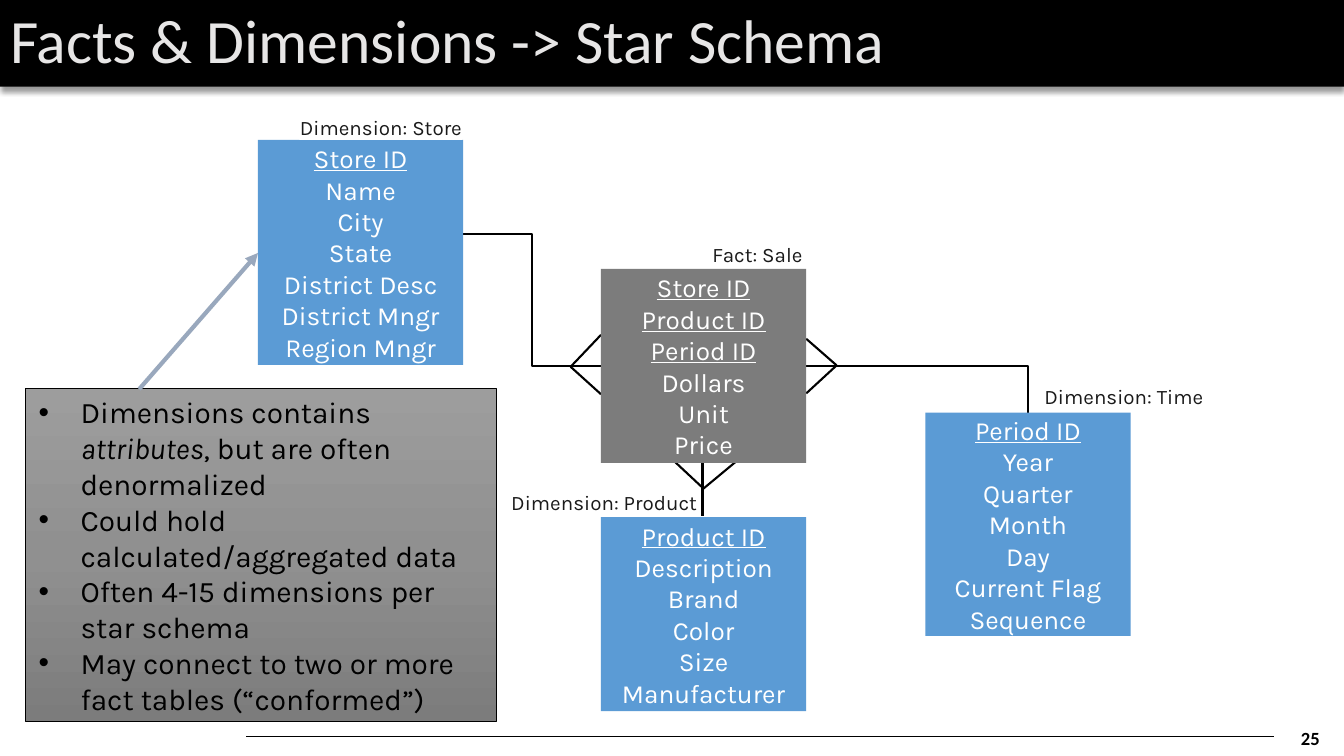
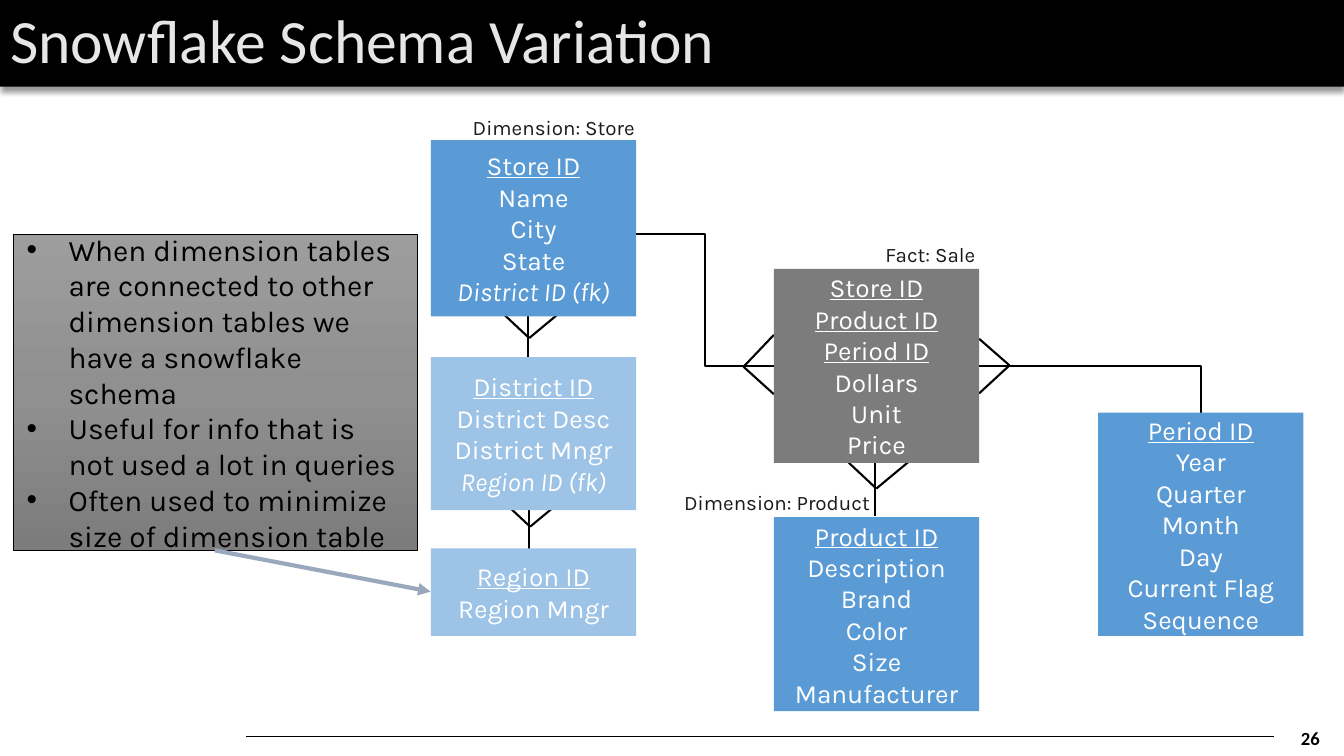
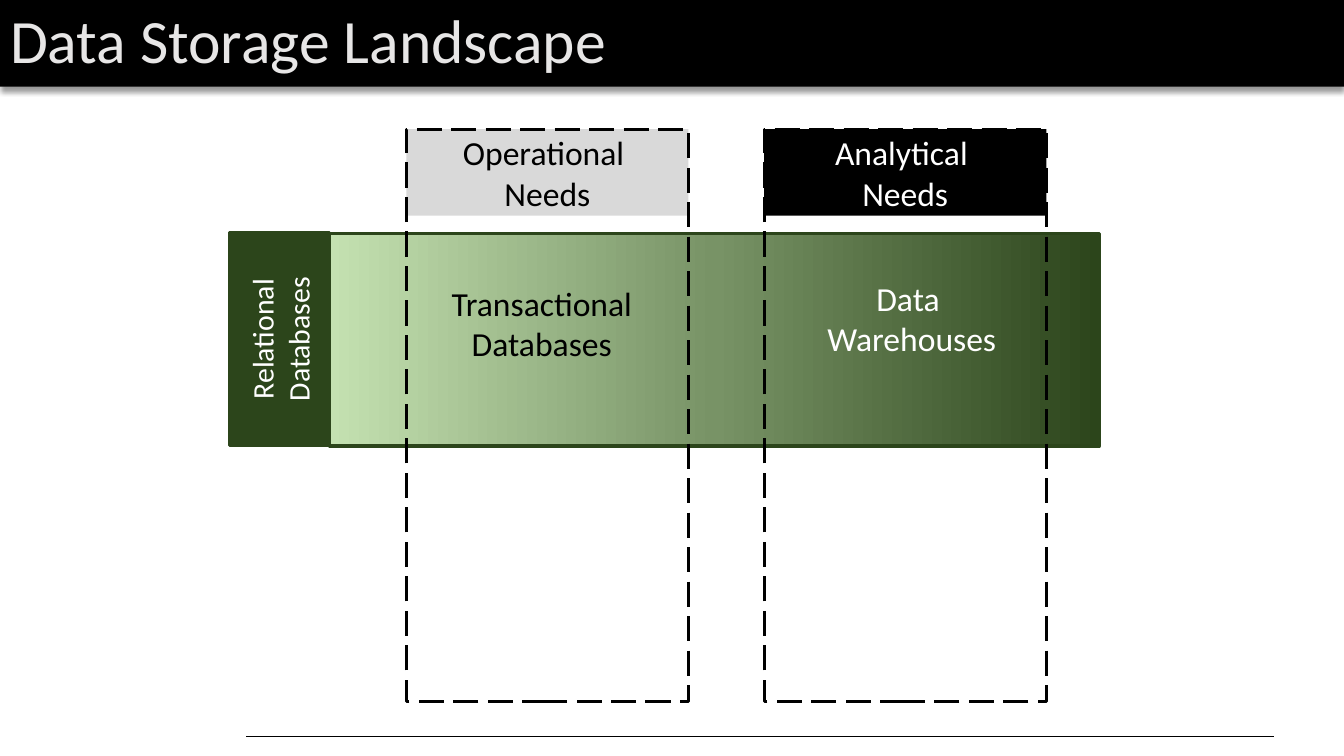
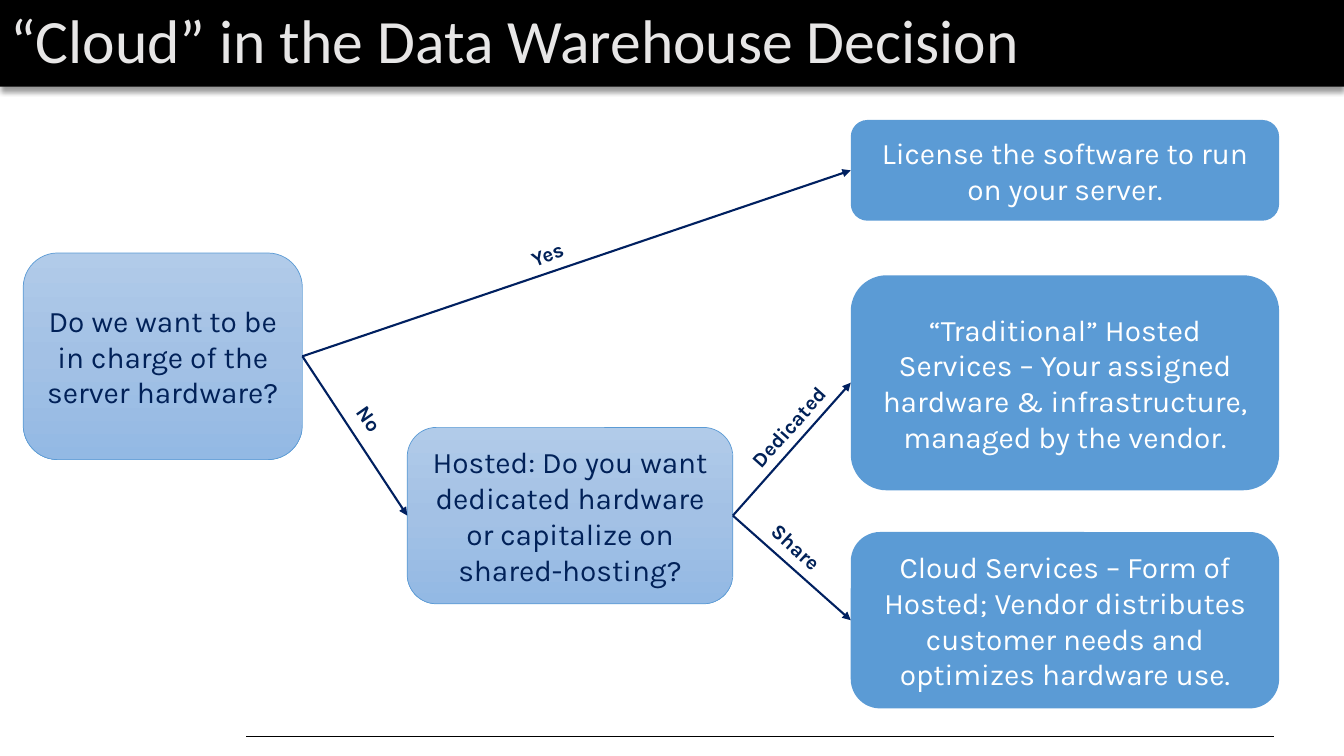
"""Build four slides on star schemas, data storage and hosting decisions."""
from copy import deepcopy
from dataclasses import dataclass
from typing import NamedTuple, Optional

from lxml.etree import SubElement
from pptx import Presentation
from pptx.dml.color import RGBColor as Rgb
from pptx.enum.dml import MSO_LINE_DASH_STYLE as Dash
from pptx.enum.shapes import MSO_CONNECTOR as Connector, MSO_SHAPE as Preset
from pptx.enum.text import MSO_ANCHOR as Anchor, MSO_AUTO_SIZE as AutoSize, PP_ALIGN as Align
from pptx.oxml.ns import qn
from pptx.util import Pt


@dataclass(frozen=True)
class Theme:
    """Colours, fonts and type sizes of the presentation."""

    black: str = "000000"
    white: str = "FFFFFF"
    title_text: str = "E7E6E6"
    label_text: str = "1A1A1A"
    fact: str = "7C7C7C"
    dimension: str = "5B9BD5"
    outrigger: str = "9DC3E6"
    pointer: str = "99A8BD"
    navy: str = "012158"
    arrow: str = "002060"
    header: str = "D9D9D9"
    forest: str = "2C451B"
    gray_gradient: tuple = ("9D9D9D", "909090", "7C7C7C")
    blue_gradient: tuple = ("B1CBE9", "A3C1E5", "93B9E4")
    green_gradient: tuple = ("C4E1B1", "789366", "2C451B")
    heading_font: str = "Calibri"
    body_font: str = "Karla"
    title_size: float = 44
    header_size: float = 24
    body_size: float = 21.3
    row_size: float = 18.7
    label_size: float = 14.7
    number_size: float = 13.3


THEME = Theme()


class Box(NamedTuple):
    """Place of a shape in points."""

    left: float
    top: float
    width: float
    height: float


class Point(NamedTuple):
    """Place of a line end in points."""

    x: float
    y: float


@dataclass(frozen=True)
class Style:
    """Look of a piece of text."""

    size: float
    color: str
    font: str = THEME.body_font
    bold: bool = False


@dataclass(frozen=True)
class Entity:
    """Database table with its key rows first."""

    box: Box
    fill: str
    keys: int
    rows: tuple


@dataclass(frozen=True)
class Label:
    """Small caption, possibly turned."""

    text: str
    box: Box
    rotation: float = 0


ROW = Style(THEME.row_size, THEME.white)
BODY = Style(THEME.body_size, THEME.black)
CAPTION = Style(THEME.label_size, THEME.label_text)
ANSWER = Style(THEME.label_size, THEME.navy, bold=True)
WIDE_INSETS = (9.6, 4.8)
ENTITY_WIDTH = 146.6
SHIFT = 123.5

FACT = Entity(Box(429.3, 192, ENTITY_WIDTH, 138.7), THEME.fact, 3,
              ("Store ID", "Product ID", "Period ID", "Dollars", "Unit", "Price"))
PRODUCT = Entity(Box(429.3, 369.3, ENTITY_WIDTH, 138.7), THEME.dimension, 1,
                 ("Product ID", "Description", "Brand", "Color", "Size", "Manufacturer"))
TIME = Entity(Box(661, 294.7, ENTITY_WIDTH, 159.6), THEME.dimension, 1,
              ("Period ID", "Year", "Quarter", "Month", "Day", "Current Flag", "Sequence"))
STORE = Entity(Box(184.3, 100, ENTITY_WIDTH, 160.6), THEME.dimension, 1,
               ("Store ID", "Name", "City", "State", "District Desc", "District Mngr",
                "Region Mngr"))
SHORT_STORE = Entity(Box(184.3, 100, ENTITY_WIDTH, 126), THEME.dimension, 1,
                     ("Store ID", "Name", "City", "State", "District ID (fk)"))
DISTRICT = Entity(Box(184.3, 255, ENTITY_WIDTH, 109.4), THEME.outrigger, 1,
                  ("District ID", "District Desc", "District Mngr", "Region ID (fk)"))
REGION = Entity(Box(184.3, 391.7, ENTITY_WIDTH, 62.6), THEME.outrigger, 1,
                ("Region ID", "Region Mngr"))
SCHEMA_LABELS = (
    Label("Dimension: Store", Box(213.8, 82, 116.6, 18)),
    Label("Dimension: Product", Box(364.3, 350, 134.6, 18)),
    Label("Fact: Sale", Box(504, 172.8, 74.2, 18)),
)
TIME_LABEL = Label("Dimension: Time", Box(744.5, 274.3, 116.6, 18))


def style_font(font, style: Style) -> None:
    """Apply a text style to a font."""
    font.name, font.size, font.bold = style.font, Pt(style.size), style.bold
    font.color.rgb = Rgb.from_string(style.color)


def place(shape, box: Box) -> None:
    """Move and size a shape."""
    shape.left, shape.top, shape.width, shape.height = (Pt(length) for length in box)


def set_insets(text_frame, across: float, down: float) -> None:
    """Set the text margins of a frame."""
    text_frame.margin_left = text_frame.margin_right = Pt(across)
    text_frame.margin_top = text_frame.margin_bottom = Pt(down)


def fill_gradient(shape, colors: tuple, angle: int) -> None:
    """Fill a shape with three evenly spaced colours, turned clockwise."""
    shape.fill.gradient()
    shape.fill.gradient_angle = 360 - angle
    stop_list = shape._element.spPr.find(qn("a:gradFill")).find(qn("a:gsLst"))
    stop_list.insert(1, deepcopy(stop_list[0]))
    for index, stop in enumerate(shape.fill.gradient_stops):
        stop.position = index / 2
        stop.color.rgb = Rgb.from_string(colors[index])


def set_line(shape, color: str, width: float) -> None:
    """Give a shape or connector a solid line."""
    shape.line.color.rgb = Rgb.from_string(color)
    shape.line.width = Pt(width)


def write(shape, text: str, style: Style) -> None:
    """Write centred text in the middle of a shape."""
    frame = shape.text_frame
    frame.word_wrap, frame.vertical_anchor = True, Anchor.MIDDLE
    frame.text = text
    for paragraph in frame.paragraphs:
        paragraph.alignment = Align.CENTER
        for run in paragraph.runs:
            style_font(run.font, style)


def add_box(slide, box: Box, fill: Optional[str] = None, preset=Preset.RECTANGLE):
    """Add a plain shape without line or shadow."""
    shape = slide.shapes.add_shape(preset, *(Pt(length) for length in box))
    shape.shadow.inherit = False
    shape.line.fill.background()
    if fill:
        shape.fill.solid()
        shape.fill.fore_color.rgb = Rgb.from_string(fill)
    else:
        shape.fill.background()
    return shape


def add_text(slide, box: Box, text: str, style: Style):
    """Add a centred text box."""
    shape = slide.shapes.add_textbox(*(Pt(length) for length in box))
    write(shape, text, style)
    return shape


def add_line(slide, start: Point, end: Point, color: str = THEME.black, width: float = 1.5,
             kind=Connector.STRAIGHT, arrow: bool = False):
    """Add a connector, with an arrowhead if wanted."""
    line = slide.shapes.add_connector(kind, *(Pt(length) for length in (*start, *end)))
    set_line(line, color, width)
    if arrow:
        SubElement(line.line._get_or_add_ln(), qn("a:tailEnd"), type="triangle")
    SubElement(line._element.spPr, qn("a:effectLst"))
    return line


def add_label(slide, label: Label, style: Style, shift: float = 0) -> None:
    """Add a caption on white."""
    box = label.box._replace(left=label.box.left + shift)
    shape = add_box(slide, box, THEME.white)
    write(shape, label.text, style)
    shape.text_frame.word_wrap = False
    set_insets(shape.text_frame, 0, 0)
    shape.rotation = label.rotation


def add_slide(presentation, title: str, layout: int = 5, number: str = ""):
    """Add a slide with title band, footer line and page number."""
    slide = presentation.slides.add_slide(presentation.slide_layouts[layout])
    band = slide.shapes.title
    place(band, Box(0, 0, 960, 61.9))
    band.fill.solid()
    band.fill.fore_color.rgb = Rgb.from_string(THEME.black)
    effects = SubElement(band._element.spPr, qn("a:effectLst"))
    shadow = SubElement(effects, qn("a:outerShdw"), blurRad=str(Pt(4)), dist=str(Pt(3)),
                        dir="5400000", algn="t", rotWithShape="0")
    color = SubElement(shadow, qn("a:srgbClr"), val=THEME.black)
    SubElement(color, qn("a:alpha"), val="40000")
    write(band, title, Style(THEME.title_size, THEME.title_text, THEME.heading_font))
    band.text_frame.auto_size = AutoSize.NONE
    paragraph = band.text_frame.paragraphs[0]
    paragraph.alignment, paragraph.line_spacing = Align.LEFT, 0.9
    add_line(slide, Point(910, 525.8), Point(175.4, 525.8), width=0.5)
    if number:
        style = Style(THEME.number_size, THEME.black, THEME.heading_font, True)
        page = add_text(slide, Box(920.2, 512.6, 31.7, 25.9), number, style)
        page.text_frame.vertical_anchor = Anchor.BOTTOM
        set_insets(page.text_frame, 3.6, 3.6)
    return slide


def fill_list(slide, box: Box, items: tuple) -> None:
    """Turn the body placeholder into a gray bullet panel; asterisks mark italics."""
    panel = slide.placeholders[1]
    place(panel, box)
    fill_gradient(panel, THEME.gray_gradient, 90)
    set_line(panel, THEME.black, 0.5)
    frame = panel.text_frame
    frame.auto_size, frame.vertical_anchor = AutoSize.NONE, Anchor.MIDDLE
    set_insets(frame, *WIDE_INSETS)
    for index, item in enumerate(items):
        paragraph = frame.add_paragraph() if index else frame.paragraphs[0]
        paragraph.space_before = Pt(0)
        properties = paragraph._p.get_or_add_pPr()
        properties.set("marL", str(Pt(30)))
        properties.set("indent", str(-Pt(30)))
        SubElement(properties, qn("a:buFont"), typeface="Arial")
        SubElement(properties, qn("a:buChar"), char="•")
        for position, part in enumerate(item.split("*")):
            run = paragraph.add_run()
            run.text = part
            style_font(run.font, BODY)
            run.font.italic = position % 2 == 1


def add_entity(slide, entity: Entity, shift: float) -> None:
    """Add a database table with underlined keys and italic foreign keys."""
    box = entity.box._replace(left=entity.box.left + shift)
    shape = add_box(slide, box, entity.fill)
    write(shape, "\n".join(entity.rows), ROW)
    for index, paragraph in enumerate(shape.text_frame.paragraphs):
        font = paragraph.runs[0].font
        font.underline = index < entity.keys
        font.italic = paragraph.text.endswith("(fk)")


def add_foot(slide, apex: Point, *toes: Point) -> None:
    """Draw the spread lines of a crow's foot."""
    for toe in toes:
        add_line(slide, apex, toe)


def add_down_foot(slide, x: float, top: float) -> None:
    """Draw a crow's foot under a table, with its stem."""
    add_foot(slide, Point(x + 0.7, top + 19), Point(x - 19.6, top), Point(x + 23.6, top))
    add_line(slide, Point(x, top + 1), Point(x, top + 38.8))


def add_schema(slide, shift: float, entities: tuple, labels: tuple) -> None:
    """Draw the fact table, its links and the given tables and captions."""
    left, right, middle = FACT.box.left + shift, FACT.box.left + ENTITY_WIDTH + shift, 261.4
    store_right = STORE.box.left + ENTITY_WIDTH + shift
    add_line(slide, Point(store_right, 167.1), Point(left, middle), kind=Connector.ELBOW)
    corner = add_line(slide, Point(right, middle),
                      Point(TIME.box.left + ENTITY_WIDTH / 2 + shift, TIME.box.top),
                      kind=Connector.ELBOW)
    corner._element.spPr.find(qn("a:prstGeom")).set("prst", "bentConnector2")
    add_foot(slide, Point(left - 21.7, 262), Point(left, 239.2), Point(left, 281.6))
    add_foot(slide, Point(right + 21.7, 261), Point(right, 242), Point(right, 281))
    add_down_foot(slide, 501.8 + shift, 330)
    for entity in (FACT, PRODUCT, TIME, *entities):
        add_entity(slide, entity, shift)
    for label in labels:
        add_label(slide, label, CAPTION, shift)


def build_star(presentation) -> None:
    """Build the star schema slide."""
    slide = add_slide(presentation, "Facts & Dimensions -> Star Schema", 1, "25")
    add_schema(slide, 0, (STORE,), (*SCHEMA_LABELS, TIME_LABEL))
    add_line(slide, Point(99.4, 278), Point(184.3, 180.7), THEME.pointer, 3, arrow=True)
    fill_list(slide, Box(18, 277.7, 336.4, 237.6), (
        "Dimensions contains *attributes*, but are often denormalized",
        "Could hold calculated/aggregated data",
        "Often 4-15 dimensions per star schema",
        "May connect to two or more fact tables (“conformed”)",
    ))


def build_snowflake(presentation) -> None:
    """Build the snowflake schema slide."""
    slide = add_slide(presentation, "Snowflake Schema Variation", 1, "26")
    add_down_foot(slide, 377.3, 222.5)
    add_down_foot(slide, 378, 357.2)
    add_schema(slide, SHIFT, (SHORT_STORE, DISTRICT, REGION), SCHEMA_LABELS)
    fill_list(slide, Box(9.4, 167.2, 288.8, 226), (
        "When dimension tables are connected to other dimension tables we have a "
        "snowflake schema",
        "Useful for info that is not used a lot in queries",
        "Often used to minimize size of dimension table",
    ))
    add_line(slide, Point(153.4, 393.1), Point(307.6, 422.6), THEME.pointer, 3, arrow=True)


def build_landscape(presentation) -> None:
    """Build the data storage landscape slide."""
    slide = add_slide(presentation, "Data Storage Landscape")
    dark = Style(THEME.header_size, THEME.black, THEME.heading_font)
    light = Style(THEME.header_size, THEME.white, THEME.heading_font)
    band = add_box(slide, Box(235.4, 166.6, 550, 152))
    fill_gradient(band, THEME.green_gradient, 0)
    set_line(band, THEME.forest, 2.25)
    side = add_box(slide, Box(123.8, 206.6, 152, 71.3), THEME.forest)
    set_line(side, THEME.forest, 2.25)
    side.rotation = 270
    write(side, "Relational Databases", Style(THEME.body_size, THEME.white, THEME.heading_font))
    add_text(slide, Box(274.3, 190, 225.4, 81.4), "Transactional Databases", dark)
    add_text(slide, Box(538.6, 183.6, 225.4, 87.1), "Data \vWarehouses", light)
    for left, text, fill, style in ((290.2, "Operational \vNeeds", THEME.header, dark),
                                    (545.8, "Analytical \vNeeds", THEME.black, light)):
        write(add_box(slide, Box(left, 92.2, 201.6, 61.9), fill), text, style)
        outline = add_box(slide, Box(left, 92.2, 201.6, 409))
        set_line(outline, THEME.black, 2.25)
        outline.line.dash_style = Dash.LONG_DASH


def add_step(slide, box: Box, text: str, question: bool = False):
    """Add a rounded question or outcome."""
    shape = add_box(slide, box, THEME.dimension, Preset.ROUNDED_RECTANGLE)
    if question:
        fill_gradient(shape, THEME.blue_gradient, 90)
        set_line(shape, THEME.dimension, 0.5)
    write(shape, text, Style(THEME.body_size, THEME.navy if question else THEME.white))
    set_insets(shape.text_frame, *WIDE_INSETS)
    return shape


def build_decision(presentation) -> None:
    """Build the hosting decision slide."""
    slide = add_slide(presentation, "“Cloud” in the Data Warehouse Decision")
    control = add_step(slide, Box(16.6, 180.7, 199.4, 147.6),
                       "Do we want to be in charge of the server hardware?", True)
    hosted = add_step(slide, Box(290.9, 305.3, 232.6, 126),
                      "Hosted: Do you want dedicated hardware or capitalize on "
                      "shared-hosting?", True)
    licence, traditional, cloud = (
        add_step(slide, Box(607.7, top, 306, height), text) for top, height, text in (
            (85.7, 72, "License the software to run on your server."),
            (196.6, 153.6, "“Traditional” Hosted Services – Your assigned hardware & "
                           "infrastructure, managed by the vendor."),
            (380, 126, "Cloud Services – Form of Hosted; Vendor distributes customer "
                       "needs and optimizes hardware use."),
        ))
    for source, target in ((control, hosted), (control, licence),
                           (hosted, traditional), (hosted, cloud)):
        arrow = add_line(slide, Point(0, 0), Point(0, 0), THEME.arrow, arrow=True)
        arrow.begin_connect(source, 3)
        arrow.end_connect(target, 1)
    for label in (Label("No", Box(237.6, 290.2, 52.6, 18), 55),
                  Label("Share", Box(539.3, 381.6, 59, 18), 42.2),
                  Label("Dedicated", Box(527, 295.9, 72, 18), 311.8),
                  Label("Yes", Box(372.2, 172.1, 37.4, 18), 338.5)):
        add_label(slide, label, ANSWER)


def main() -> None:
    """Build and save the presentation."""
    presentation = Presentation()
    presentation.slide_width, presentation.slide_height = Pt(960), Pt(540)
    for build in (build_star, build_snowflake, build_landscape, build_decision):
        build(presentation)
    presentation.save("out.pptx")


if __name__ == "__main__":
    main()
